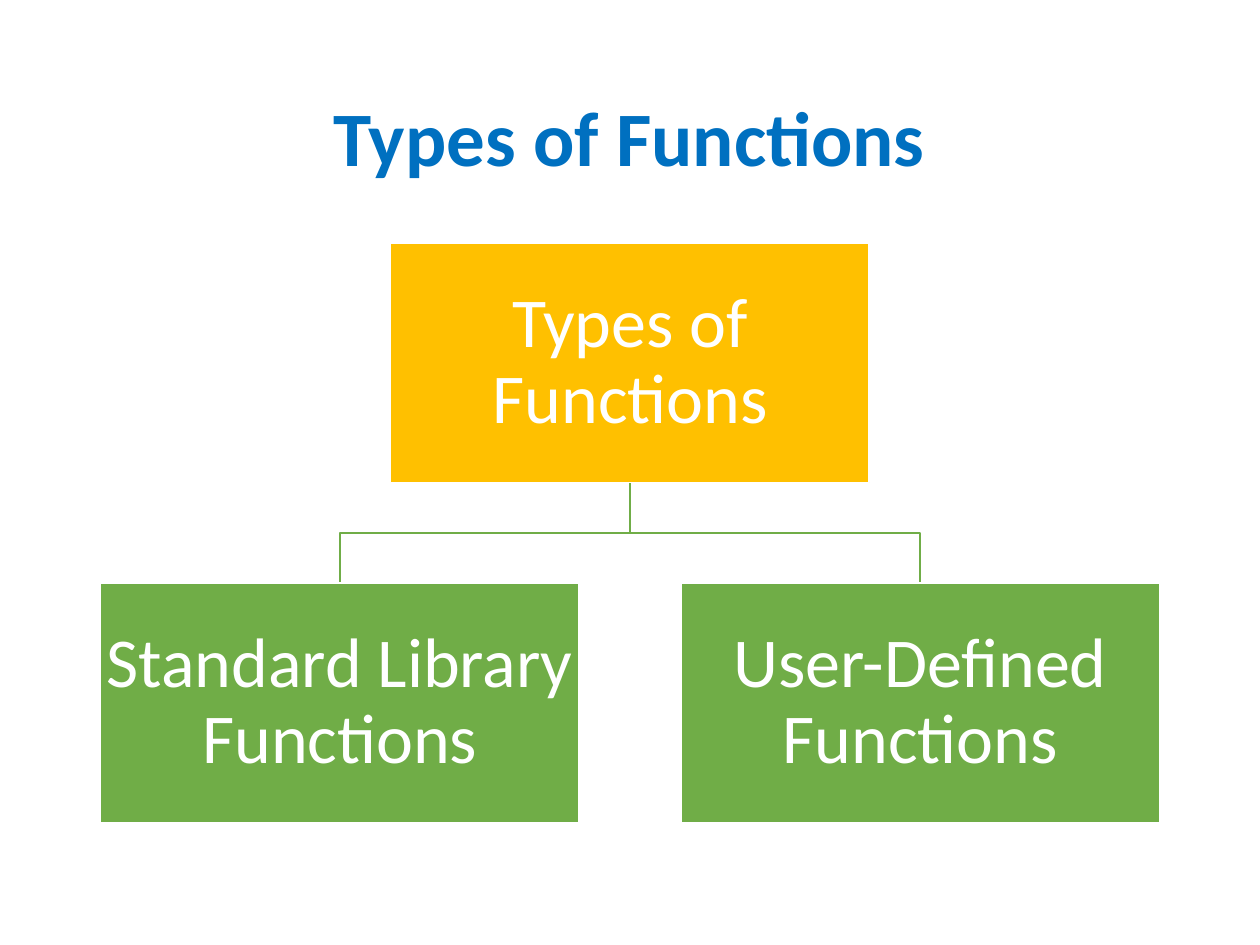
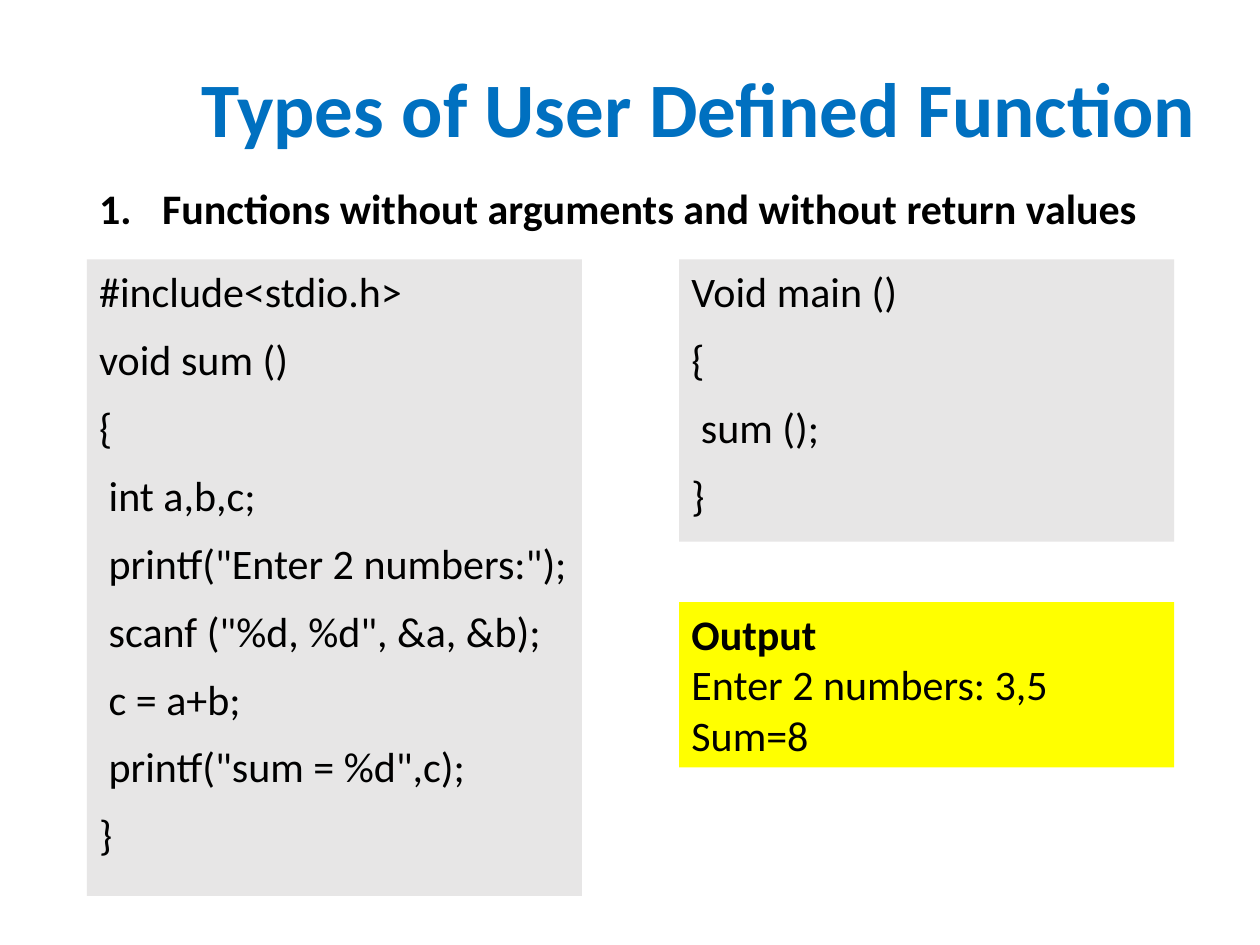
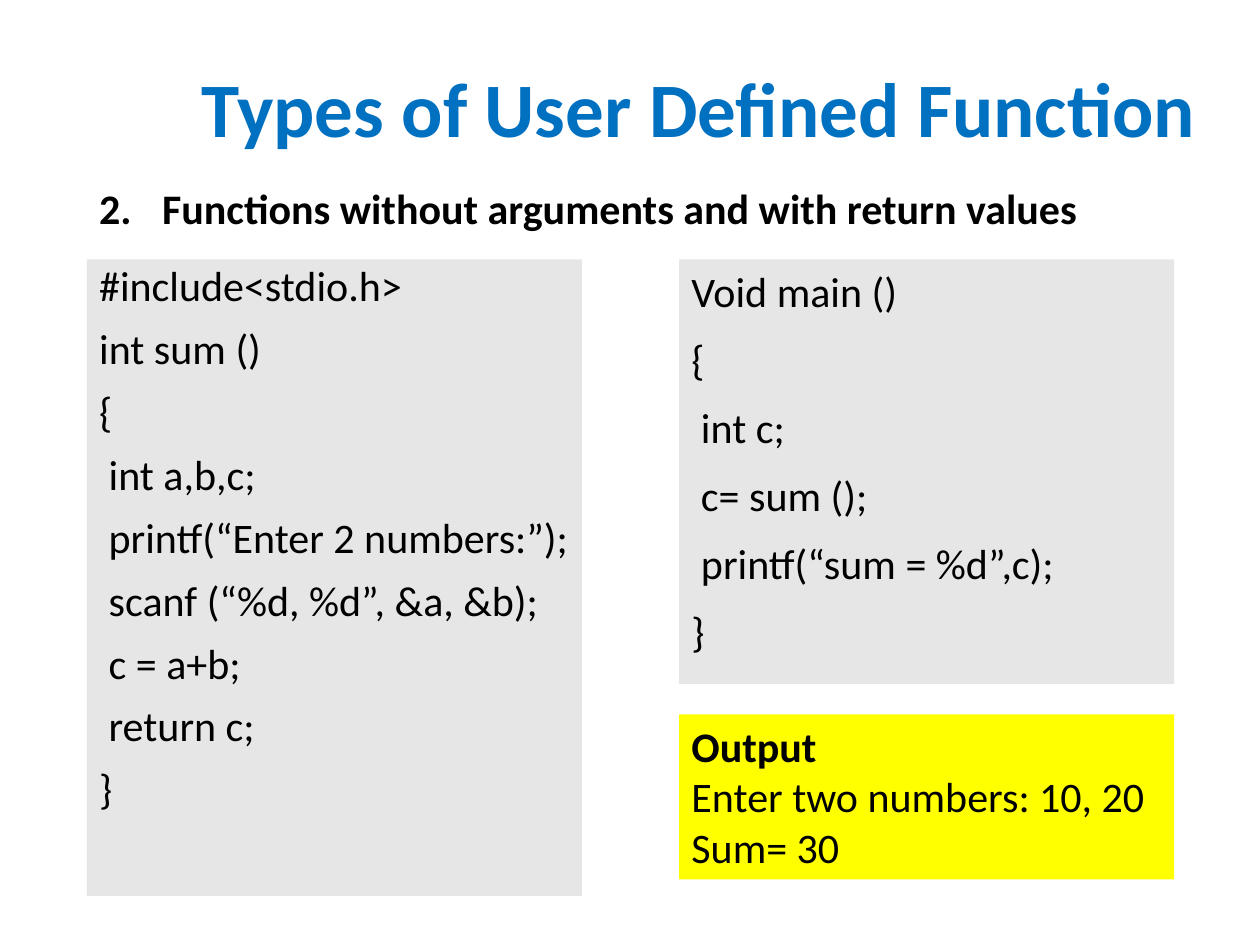
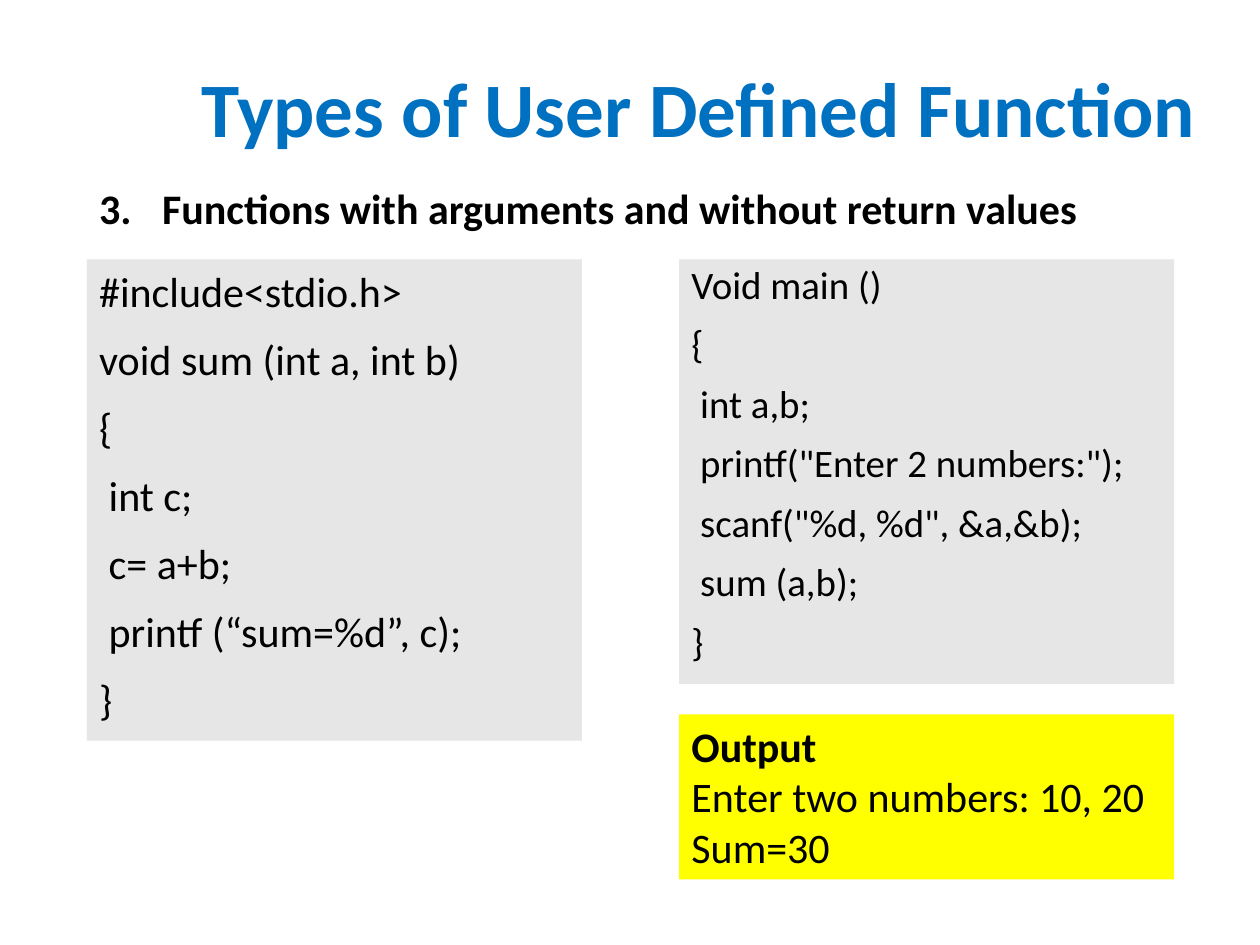
from lxml.etree import SubElement
from pptx import Presentation
from pptx.dml.color import RGBColor
from pptx.enum.shapes import MSO_SHAPE
from pptx.enum.text import MSO_ANCHOR, PP_ALIGN
from pptx.oxml.ns import qn
from pptx.util import Cm, Pt

# Shared style
FONT = "Calibri"
BLUE, BLACK, WHITE = "0070C0", "000000", "FFFFFF"
GREY, YELLOW = "E7E6E6", "FFFF00"
AMBER, GREEN = "FFC000", "70AD47"

# Columns of the code slides, in cm
LEFT, RIGHT, COL_W = 1.75, 13.69, 9.98
BODY_TOP, OUTPUT_H = 5.23, 3.33

# Diagram grid, in cm
BOX_W, BOX_H, LEVEL_GAP = 9.65, 4.83, 2.03
CENTER_X, ROOT_TOP = 12.7, 4.9
CHILD_OFFSET = 5.84

PROGRAMS = [
    dict(
        heading="Functions without arguments and without return values",
        function=["#include<stdio.h>", "void sum ()", "{", " int a,b,c;",
                  ' printf("Enter 2 numbers:");', ' scanf ("%d, %d", &a, &b);',
                  " c = a+b;", ' printf("sum = %d",c);', "}"],
        function_h=12.83,
        main=["Void main ()", "{", " sum ();", "}"],
        main_h=5.69,
        output=["Enter 2 numbers: 3,5", "Sum=8"],
        output_top=12.14,
    ),
    dict(
        heading="Functions without arguments and with return values",
        function=["#include<stdio.h>", "int sum ()", "{", " int a,b,c;",
                  " printf(“Enter 2 numbers:”);", " scanf (“%d, %d”, &a, &b);",
                  " c = a+b;", " return c;", "}"],
        function_h=12.83,
        function_style=dict(spacing=0.9),
        main=["Void main ()", "{", " int c;", " c= sum ();",
              " printf(“sum = %d”,c);", "}"],
        main_h=8.56,
        output=["Enter two numbers: 10, 20", "Sum= 30"],
        output_top=14.4,
    ),
    dict(
        heading="Functions with arguments and without return values",
        function=["#include<stdio.h>", "void sum (int a, int b)", "{", " int c;",
                  " c= a+b;", " printf (“sum=%d”, c);", "}"],
        function_h=9.7,
        main=["Void main ()", "{", " int a,b;", ' printf("Enter 2 numbers:");',
              ' scanf("%d, %d", &a,&b);', " sum (a,b);", "}"],
        main_h=8.56,
        main_style=dict(spacing=0.9, size=22.2),
        output=["Enter two numbers: 10, 20", "Sum=30"],
        output_top=14.4,
    ),
]


def rgb(value):
    return RGBColor.from_string(value)


def new_slide(prs):
    return prs.slides.add_slide(prs.slide_layouts[6])


def write_line(tf, text, size=24, color=BLACK, bold=False,
               align=PP_ALIGN.LEFT, spacing=None, before=0):
    """Add one paragraph, filling the first one if it is still unused."""
    p = tf.paragraphs[0]
    if p.runs:
        p = tf.add_paragraph()
    p.alignment = align
    p.space_before = Pt(before)
    if spacing:
        p.line_spacing = spacing
    r = p.add_run()
    r.text = text
    r.font.name = FONT
    r.font.size = Pt(size)
    r.font.bold = bold
    r.font.color.rgb = rgb(color)
    return p


def add_text_box(s, x, y, w, h, anchor=MSO_ANCHOR.TOP):
    tf = s.shapes.add_textbox(Cm(x), Cm(y), Cm(w), Cm(h)).text_frame
    tf.word_wrap = True
    tf.vertical_anchor = anchor
    return tf


def add_panel(s, x, y, w, h, fill, border=None, anchor=MSO_ANCHOR.TOP):
    sp = s.shapes.add_shape(MSO_SHAPE.RECTANGLE, Cm(x), Cm(y), Cm(w), Cm(h))
    sp.shadow.inherit = False
    sp.fill.solid()
    sp.fill.fore_color.rgb = rgb(fill)
    if border:
        sp.line.color.rgb = rgb(border)
        sp.line.width = Pt(1)
    else:
        sp.line.fill.background()
    tf = sp.text_frame
    tf.word_wrap = True
    tf.vertical_anchor = anchor
    return tf


def add_title(s, text, x, y, w, h, spacing=None):
    tf = add_text_box(s, x, y, w, h, MSO_ANCHOR.MIDDLE)
    write_line(tf, text, 44, BLUE, True, PP_ALIGN.CENTER, spacing)


def add_numbered_heading(s, number, text):
    tf = add_text_box(s, LEFT, 3.56, 21.89, 1.68)
    p = write_line(tf, text, bold=True, align=PP_ALIGN.JUSTIFY, before=10)
    pPr = p._p.get_or_add_pPr()
    pPr.set("marL", str(Cm(1.27)))
    pPr.set("indent", str(-Cm(1.27)))
    numbering = SubElement(pPr, qn("a:buAutoNum"), type="arabicPeriod")
    if number > 1:
        numbering.set("startAt", str(number))


def add_code(s, x, h, lines, style):
    tf = add_panel(s, x, BODY_TOP, COL_W, h, GREY)
    for line in lines:
        write_line(tf, line, align=PP_ALIGN.JUSTIFY, before=10, **style)


def add_output(s, y, lines):
    tf = add_panel(s, RIGHT, y, COL_W, OUTPUT_H, YELLOW)
    write_line(tf, "Output", bold=True)
    for line in lines:
        write_line(tf, line)


def add_box(s, center_x, y, text, fill):
    tf = add_panel(s, center_x - BOX_W / 2, y, BOX_W, BOX_H, fill,
                   WHITE, MSO_ANCHOR.MIDDLE)
    tf.margin_left = tf.margin_right = Cm(0.07)
    tf.margin_top = tf.margin_bottom = Cm(0.07)
    write_line(tf, text, 40, WHITE, align=PP_ALIGN.CENTER, spacing=0.9)


def add_branch(s, child_x):
    """Draw the stepped line from the root box down to one child."""
    top = ROOT_TOP + BOX_H
    middle, bottom = top + LEVEL_GAP / 2, top + LEVEL_GAP
    builder = s.shapes.build_freeform(Cm(CENTER_X), Cm(top))
    builder.add_line_segments(
        [(Cm(CENTER_X), Cm(middle)), (Cm(child_x), Cm(middle)),
         (Cm(child_x), Cm(bottom))], close=False)
    sp = builder.convert_to_shape()
    sp.shadow.inherit = False
    sp.fill.background()
    sp.line.color.rgb = rgb(GREEN)
    sp.line.width = Pt(1)


def build_overview(prs):
    s = new_slide(prs)
    add_title(s, "Types of Functions", 4.37, 1.78, 16.64, 1.93)
    children = [(CENTER_X - CHILD_OFFSET - 0.01, "Standard Library Functions"),
                (CENTER_X + CHILD_OFFSET + 0.01, "User-Defined Functions")]
    for x, _ in children:
        add_branch(s, x)
    add_box(s, CENTER_X, ROOT_TOP, "Types of Functions", AMBER)
    for x, text in children:
        add_box(s, x, ROOT_TOP + BOX_H + LEVEL_GAP, text, GREEN)


def build_program(prs, number, program):
    s = new_slide(prs)
    add_title(s, "Types of User Defined Function", 3.15, 0.97, 21.89, 2.59, 0.9)
    add_code(s, LEFT, program["function_h"], program["function"],
             program.get("function_style", {}))
    add_numbered_heading(s, number, program["heading"])
    add_code(s, RIGHT, program["main_h"], program["main"],
             program.get("main_style", {}))
    add_output(s, program["output_top"], program["output"])


def main():
    prs = Presentation()
    prs.slide_width, prs.slide_height = Cm(25.4), Cm(19.05)
    build_overview(prs)
    for number, program in enumerate(PROGRAMS, 1):
        build_program(prs, number, program)
    prs.save("out.pptx")


if __name__ == "__main__":
    main()
